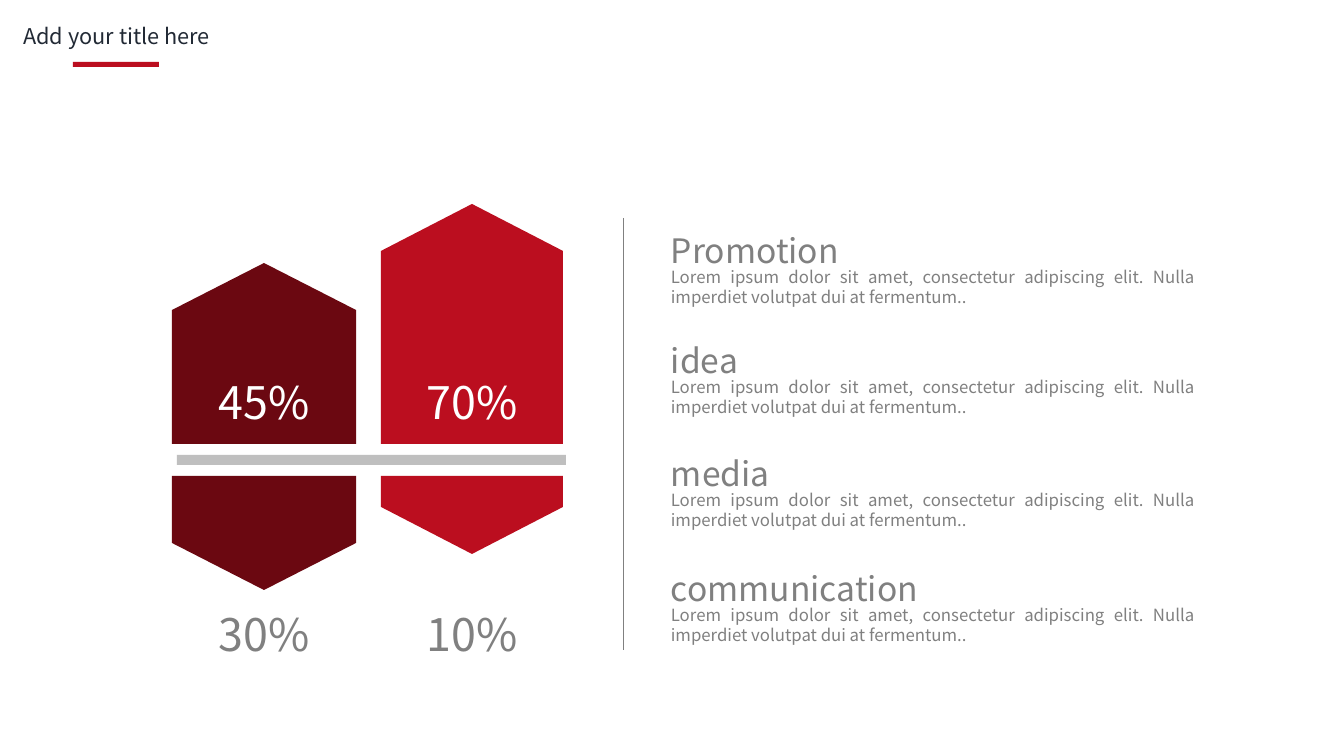
from pptx import Presentation
from pptx.dml.color import RGBColor
from pptx.enum.shapes import MSO_CONNECTOR, MSO_SHAPE
from pptx.enum.text import MSO_ANCHOR, MSO_AUTO_SIZE as FIT, PP_ALIGN as ALIGN
from pptx.oxml.ns import qn
from pptx.util import Emu, Pt
from lxml import etree

FONT = "Noto Sans CJK SC"
RED = RGBColor(0xBB, 0x0E, 0x1F)
MAROON = RGBColor(0x6B, 0x08, 0x11)
SILVER = RGBColor(0xBF, 0xBF, 0xBF)
GREY = RGBColor(0x80, 0x80, 0x80)
INK = RGBColor(0x22, 0x2A, 0x35)
WHITE = RGBColor(0xFF, 0xFF, 0xFF)

LOREM = ("Lorem ipsum dolor sit amet, consectetur adipiscing elit. "
         "Nulla imperdiet volutpat dui at fermentum..")
# Name, text width and distance from the top of the list
TOPICS = [("Promotion", 193, 0), ("idea", 89, 110),
          ("media", 121, 223), ("communication", 273, 338)]
# Left, width, height above and below the bar, labels, colour
COLUMNS = [(0, 184, 181, 114, "45%", "30%", MAROON),
           (209, 182, 240, 78, "70%", "10%", RED)]


def px(n):
    return Emu(round(n * 914400 / 100.8))


def paint(sp, color):
    sp.shadow.inherit = False
    sp.fill.solid()
    sp.fill.fore_color.rgb = color
    sp.line.fill.background()


def add_bar(s, x, y, w, h, color):
    paint(s.shapes.add_shape(MSO_SHAPE.RECTANGLE, px(x), px(y), px(w), px(h)), color)


def write(sp, text, size, color, align=ALIGN.LEFT, wrap=True):
    tf = sp.text_frame
    frame = {"word_wrap": wrap, "auto_size": FIT.SHAPE_TO_FIT_TEXT,
             "vertical_anchor": MSO_ANCHOR.TOP}
    for name, value in frame.items():
        setattr(tf, name, value)
    p = tf.paragraphs[0]
    p.alignment = align
    r = p.add_run()
    r.text = text
    for name, value in {"name": FONT, "size": Pt(size)}.items():
        setattr(r.font, name, value)
    r.font.color.rgb = color
    etree.SubElement(r.font._element, qn("a:ea")).set("typeface", FONT)
    return tf


def add_text(s, x, y, w, h, *args, **kwargs):
    write(s.shapes.add_textbox(px(x), px(y), px(w), px(h)), *args, **kwargs)


def add_pillar(s, x, base, w, tip, color):
    """Five-sided block from a flat base to a pointed tip."""
    shoulder = tip + (47 if tip < base else -47)
    points = [(x + w, base), (x + w, shoulder), (x + w / 2, tip), (x, shoulder)]
    outline = s.shapes.build_freeform(px(x), px(base))
    outline.add_line_segments([(px(a), px(b)) for a, b in points], close=True)
    paint(outline.convert_to_shape(), color)


def build_title(s, x, y, w, h):
    add_bar(s, x + 67, y + 50, 86, 5, RED)
    sp = s.shapes.title
    box = {"left": x, "top": y, "width": w, "height": h}
    for name, value in box.items():
        setattr(sp, name, px(value))
    tf = write(sp, "Add your title here", 15.5, INK, ALIGN.CENTER, wrap=False)
    margins = {"margin_left": 12, "margin_right": 12, "margin_top": 6, "margin_bottom": 6}
    for name, value in margins.items():
        setattr(tf, name, px(value))
    tf.paragraphs[0].line_spacing = 1.2


def build_pillars(s, x, y):
    """Columns above and below a bar whose top edge is at y."""
    for left, w, up, down, upper, lower, color in COLUMNS:
        add_pillar(s, x + left, y - 11, w, y - 11 - up, color)
        add_pillar(s, x + left, y + 21, w, y + 21 + down, color)
        label_x = x + left + w / 2 - 97
        for top, text, ink in [(y - 85, upper, WHITE), (y + 147, lower, GREY)]:
            add_text(s, label_x, top, 194, 64, text, 32, ink, ALIGN.CENTER)
    add_bar(s, x + 5, y, 389, 10, SILVER)


def build_topics(s, x, y, w):
    for name, name_w, top in TOPICS:
        add_text(s, x, y + top, name_w, 50, name, 24, GREY, wrap=False)
        add_text(s, x, y + top + 37, w, 51, LOREM, 12, GREY, ALIGN.JUSTIFY)


def build_divider(s, x, y, h):
    line = s.shapes.add_connector(MSO_CONNECTOR.STRAIGHT, px(x), px(y), px(x), px(y + h))
    line.line.color.rgb = GREY
    line.line.width = Pt(0.5)
    etree.SubElement(line._element.spPr, qn("a:effectLst"))


def main():
    prs = Presentation()
    prs.slide_width, prs.slide_height = px(1344), px(756)
    s = prs.slides.add_slide(prs.slide_layouts[5])
    build_title(s, 6, 12, 221, 41)
    build_pillars(s, 172, 455)
    build_topics(s, 661, 225, 544)
    build_divider(s, 623, 218, 432)
    prs.save("out.pptx")


if __name__ == "__main__":
    main()
